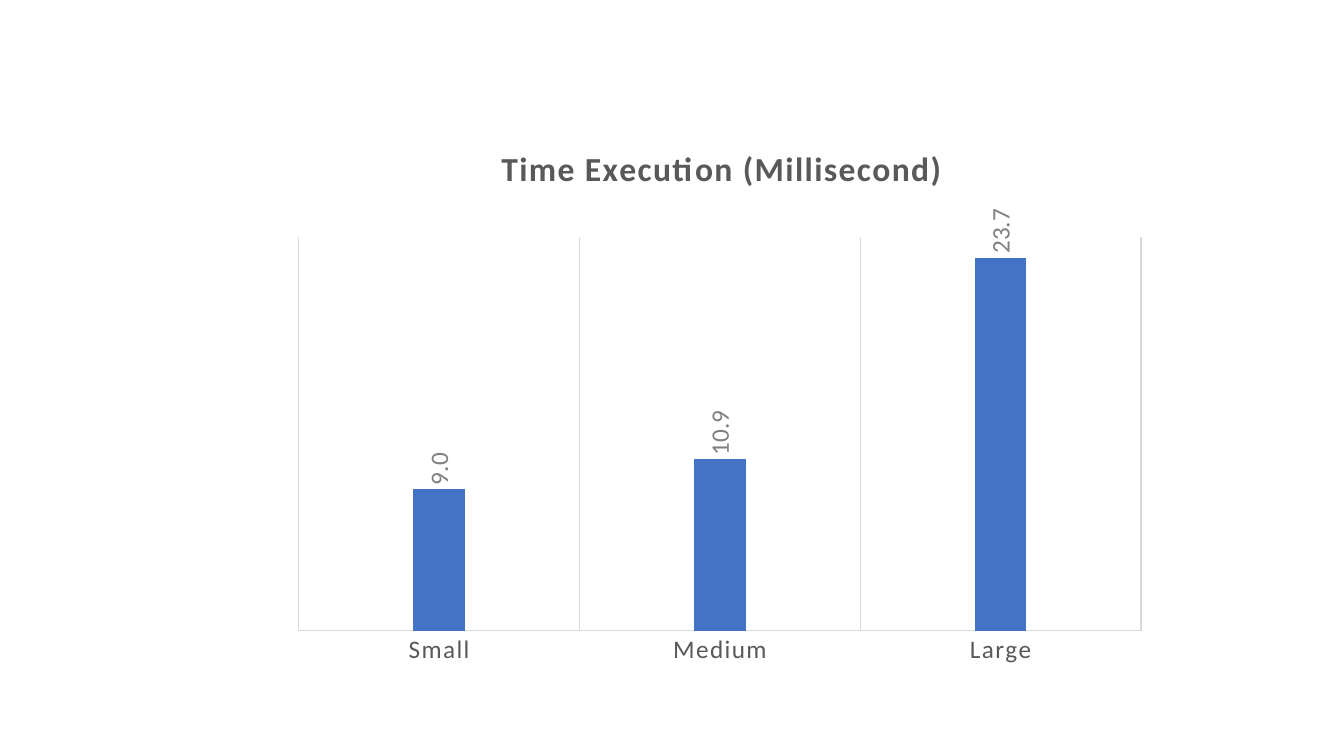
from dataclasses import dataclass

from lxml import etree
from pptx import Presentation
from pptx.chart.data import CategoryChartData
from pptx.dml.color import RGBColor
from pptx.enum.chart import XL_CHART_TYPE, XL_LABEL_POSITION, XL_TICK_MARK
from pptx.util import Pt

COLUMN = XL_CHART_TYPE.COLUMN_CLUSTERED
OUT_END = XL_LABEL_POSITION.OUTSIDE_END
NO_TICK = XL_TICK_MARK.NONE
SCALE = 914400 / 100.8
NS = "http://schemas.openxmlformats.org/drawingml/2006/chart"


@dataclass(frozen=True)
class Theme:
    face: str = "Calibri"
    bar: str = "4472C4"
    text: str = "595959"
    label: str = "808080"
    line: str = "D9D9D9"
    head: int = 24
    body: int = 18
    rule: float = 0.75
    space: int = 100


THEME = Theme()


def px(count):
    return round(count * SCALE)


def style(font, size, color, bold=False):
    font.name = THEME.face
    font.size = Pt(size)
    font.bold = bold
    font.color.rgb = RGBColor.from_string(color)


def rule(line):
    line.color.rgb = RGBColor.from_string(THEME.line)
    line.width = Pt(THEME.rule)


def lay_out(parent, index, **parts):
    for old in parent.xpath("c:layout"):
        parent.remove(old)
    layout = etree.Element(f"{{{NS}}}layout")
    manual = etree.SubElement(layout, f"{{{NS}}}manualLayout")
    for name, value in parts.items():
        etree.SubElement(manual, f"{{{NS}}}{name}").set("val", str(value))
    parent.insert(index, layout)


def add_head(chart):
    chart.has_title = True
    frame = chart.chart_title.text_frame
    frame.text = "Time Execution (Millisecond)"
    style(frame.paragraphs[0].font, THEME.head, THEME.text, True)
    title = chart.element.xpath("c:chart/c:title")[0]
    lay_out(title, 1, xMode="edge", yMode="edge", x=0.25, y=0.08)


def set_axes(chart):
    base = chart.category_axis
    base.major_tick_mark = base.minor_tick_mark = NO_TICK
    base.has_major_gridlines = True
    rule(base.major_gridlines.format.line)
    rule(base.format.line)
    style(base.tick_labels.font, THEME.body, THEME.text)
    scale = chart.value_axis
    scale.minimum_scale = 0
    scale.maximum_scale = 25
    scale.has_major_gridlines = False
    scale.visible = False


def set_bars(plot):
    plot.gap_width = 444
    plot.overlap = -90
    plot.vary_by_categories = False
    bars = plot.series[0]
    bars.format.fill.solid()
    bars.format.fill.fore_color.rgb = RGBColor.from_string(THEME.bar)
    labels = bars.data_labels
    labels.show_value = True
    labels.position = OUT_END
    labels.number_format = "0.0"
    labels.number_format_is_linked = False
    style(labels.font, THEME.body, THEME.label)


def add_chart(slide, left, top, width, height):
    data = CategoryChartData(number_format="0.0")
    data.categories = ["Small", "Medium", "Large"]
    data.add_series("Series 1", (9, 10.9, 23.7))
    box = map(px, (left, top, width, height))
    chart = slide.shapes.add_chart(COLUMN, *box, data).chart
    chart.has_legend = False
    chart.font.name = THEME.face
    add_head(chart)
    set_axes(chart)
    set_bars(chart.plots[0])
    root = chart.element
    area = root.xpath("c:chart/c:plotArea")[0]
    lay_out(area, 0, layoutTarget="inner", xMode="edge", yMode="edge",
            x=0.031, y=0.243, w=0.939, h=0.658)
    for props in root.xpath(".//c:title//a:defRPr | .//c:catAx//a:defRPr"):
        props.set("spc", str(THEME.space))
    for body in root.xpath(".//c:ser/c:dLbls/c:txPr/a:bodyPr"):
        body.set("rot", "-5400000")
        body.set("vert", "horz")


def main():
    deck = Presentation()
    deck.slide_width = px(1344)
    deck.slide_height = px(756)
    slide = deck.slides.add_slide(deck.slide_layouts[6])
    add_chart(slide, 271, 92, 897, 598)
    deck.save("out.pptx")


main()
